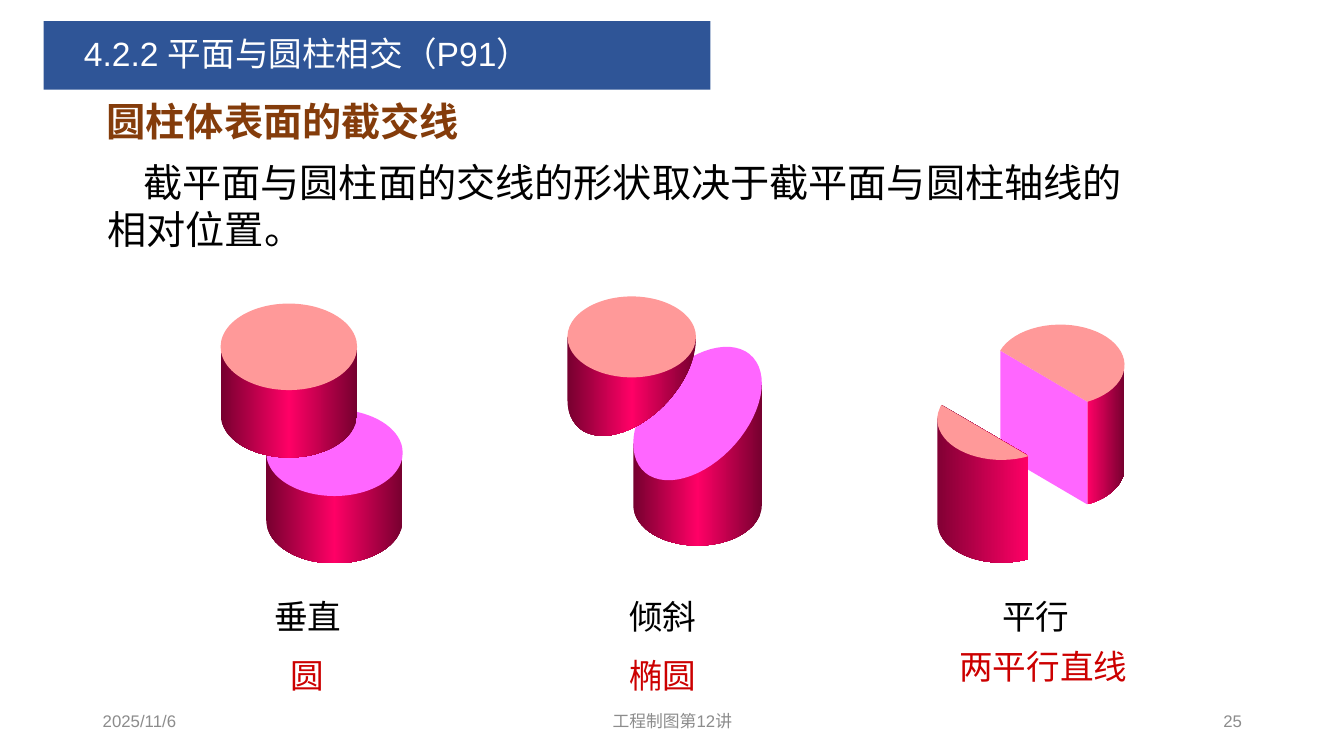
from copy import deepcopy
from math import cos, radians, sin

from pptx import Presentation
from pptx.dml.color import RGBColor
from pptx.enum.shapes import MSO_SHAPE
from pptx.enum.text import MSO_ANCHOR, MSO_AUTO_SIZE, PP_ALIGN
from pptx.oxml.ns import qn
from pptx.util import Cm, Pt

COLORS = {
    "banner": "2F5597", "white": "FFFFFF", "black": "000000", "heading": "843C0B",
    "result": "CC0000", "footer": "8C8C8C", "top": "FF9999", "cut": "FF66FF",
    "bright": "FF0066", "dark": "76002F", "shade": "820034",
}
ROUND_SIDE = ("dark", "bright", "dark")
LATIN, CHINESE = "Arial", "Noto Sans CJK SC"
CUT_START, CUT_END = 65, 201  # where the parallel plane meets the rim, in degrees


def color(name):
    return RGBColor.from_string(COLORS[name])


def write(shape, text, size, color_name, font_name=LATIN, bold=False,
          align=PP_ALIGN.LEFT, anchor=MSO_ANCHOR.MIDDLE, wrap=True):
    frame = shape.text_frame
    frame.word_wrap = wrap
    frame.auto_size = MSO_AUTO_SIZE.NONE
    frame.vertical_anchor = anchor
    paragraph = frame.paragraphs[0]
    paragraph.alignment = align
    run = paragraph.add_run()
    run.text = text
    font = run.font
    font.name, font.size, font.bold = font_name, Pt(size), bold
    font.color.rgb = color(color_name)
    east_asian = deepcopy(font._element.find(qn("a:latin")))
    east_asian.tag = qn("a:ea")
    east_asian.set("typeface", CHINESE)
    font._element.find(qn("a:latin")).addnext(east_asian)
    return paragraph


def add_text(slide, box, *args, **options):
    shape = slide.shapes.add_textbox(*(Cm(length) for length in box))
    return write(shape, *args, **options)


def set_indent(paragraph, left, first):
    properties = paragraph._p.get_or_add_pPr()
    properties.set("marL", str(Cm(left)))
    properties.set("indent", str(Cm(first)))


def fill_shape(shape, color_names):
    """Fill with one colour, or with an even left-to-right gradient of several."""
    shape.shadow.inherit = False
    shape.line.fill.background()
    if len(color_names) == 1:
        shape.fill.solid()
        shape.fill.fore_color.rgb = color(color_names[0])
        return
    shape.fill.gradient()
    shape.fill.gradient_angle = 0
    stop_list = shape._element.spPr.find(qn("a:gradFill")).find(qn("a:gsLst"))
    for _ in color_names[2:]:
        stop_list.append(deepcopy(stop_list[0]))
    for index, (stop, name) in enumerate(zip(shape.fill.gradient_stops, color_names)):
        stop.position = index / (len(color_names) - 1)
        stop.color.rgb = color(name)


def arc(center_x, center_y, radius_x, radius_y, start, end, rise=0):
    """Points of an ellipse arc, clockwise on screen; rise lifts its right end."""
    steps = max(2, round(abs(end - start) / 6))
    angles = [radians(start + (end - start) * i / steps) for i in range(steps + 1)]
    return [(center_x + radius_x * cos(angle),
             center_y + radius_y * sin(angle) - rise * cos(angle)) for angle in angles]


def add_outline(slide, points, *color_names):
    points = [(Cm(x), Cm(y)) for x, y in points]
    builder = slide.shapes.build_freeform(*points[0])
    builder.add_line_segments(points[1:], close=True)
    fill_shape(builder.convert_to_shape(), color_names)


def add_ellipse(slide, center_x, center_y, radius_x, radius_y, color_name):
    shape = slide.shapes.add_shape(
        MSO_SHAPE.OVAL, Cm(center_x - radius_x), Cm(center_y - radius_y),
        Cm(2 * radius_x), Cm(2 * radius_y))
    fill_shape(shape, [color_name])


def add_perpendicular_cut(slide, left, top):
    radius_x, radius_y, height = 1.72, 1.09, 1.7
    for shift_x, shift_y, face in ((1.15, 2.67, "cut"), (0, 0, "top")):
        x, y = left + radius_x + shift_x, top + radius_y + shift_y
        side = [(x - radius_x, y), *arc(x, y + height, radius_x, radius_y, 180, 0),
                (x + radius_x, y)]
        add_outline(slide, side, *ROUND_SIDE)
        add_ellipse(slide, x, y, radius_x, radius_y, face)


def add_oblique_cut(slide, left, top):
    radius_x, radius_y, cut_radius, rise = 1.62, 1.02, 1.5, 0.76
    x, y = left + 3.28, top + 2.95
    side = [(x - radius_x, y + rise),
            *arc(x, top + 5.26, radius_x, radius_y, 180, 0), (x + radius_x, y - rise)]
    add_outline(slide, side, *ROUND_SIDE)
    add_outline(slide, arc(x, y, radius_x, cut_radius, 0, 360, rise), "cut")

    x, y = left + radius_x, top + radius_y
    side = [(x - radius_x, y),
            *arc(x, top + 1.83, radius_x, cut_radius, 180, 0, rise), (x + radius_x, y)]
    add_outline(slide, side, *ROUND_SIDE)
    add_ellipse(slide, x, y, radius_x, radius_y, "top")


def add_parallel_cut(slide, left, top):
    radius_x, radius_y, height = 1.62, 1.02, 2.59
    x, y = left + 3.1, top + radius_y
    rim = arc(x, y, radius_x, radius_y, CUT_END, CUT_START + 360)
    add_outline(slide, [(x + radius_x, y),
                        *arc(x, y + height, radius_x, radius_y, 0, CUT_START), rim[-1]],
                "bright", "dark")
    cut_ends = [rim[0], rim[-1]]
    lower_ends = [(end_x, end_y + height) for end_x, end_y in reversed(cut_ends)]
    add_outline(slide, cut_ends + lower_ends, "cut")
    add_outline(slide, rim, "top")

    x, y = left + radius_x, top + 2.39
    rim = arc(x, y, radius_x, radius_y, CUT_START, CUT_END)
    add_outline(slide, [rim[-1], (x - radius_x, y),
                        *arc(x, y + height, radius_x, radius_y, 180, CUT_START), rim[0]],
                "shade", "bright")
    add_outline(slide, rim, "top")


def add_caption(slide, center, top, text, color_name):
    width = 0.5 + 0.85 * len(text)
    add_text(slide, (center - width / 2, top, width, 1.27), text, 24, color_name,
             CHINESE, align=PP_ALIGN.CENTER, anchor=MSO_ANCHOR.TOP, wrap=False)


def add_title(slide, left, top, width, height):
    title = slide.shapes.title
    title.left, title.top, title.width, title.height = map(Cm, (left, top, width, height))
    title.fill.solid()
    title.fill.fore_color.rgb = color("banner")
    paragraph = write(title, "4.2.2 平面与圆柱相交（P91）", 24, "white")
    paragraph.line_spacing = 0.9
    set_indent(paragraph, 0.76, 0)


def add_introduction(slide, left, top):
    heading = add_text(slide, (left, top, 15.29, 1.73), "圆柱体表面的截交线", 28,
                       "heading", bold=True)
    heading.line_spacing = 0.9
    body = add_text(slide, (left + 0.02, top + 1.6, 26.7, 2.64),
                    "截平面与圆柱面的交线的形状取决于截平面与圆柱轴线的相对位置。",
                    28, "black", anchor=MSO_ANCHOR.TOP)
    set_indent(body, 0, 0.9)


def add_footer(slide, top, height):
    for left, width, text, align in (
            (2.34, 7.62, "2025/11/6", PP_ALIGN.LEFT),
            (11.23, 11.43, "工程制图第12讲", PP_ALIGN.CENTER),
            (23.93, 7.62, "25", PP_ALIGN.RIGHT)):
        add_text(slide, (left, top, width, height), text, 12, "footer", align=align)


def main():
    presentation = Presentation()
    presentation.slide_width, presentation.slide_height = Cm(33.87), Cm(19.05)
    slide = presentation.slides.add_slide(presentation.slide_layouts[5])
    add_title(slide, 1.1, 0.53, 16.8, 1.73)
    add_introduction(slide, 2.44, 2.26)
    add_perpendicular_cut(slide, 5.56, 7.65)
    add_oblique_cut(slide, 14.3, 7.47)
    add_parallel_cut(slide, 23.62, 8.18)
    for center, position, result_center, result_top, result in (
            (7.76, "垂直", 7.75, 16.38, "圆"),
            (16.7, "倾斜", 16.7, 16.38, "椭圆"),
            (26.1, "平行", 26.29, 16.15, "两平行直线")):
        add_caption(slide, center, 14.88, position, "black")
        add_caption(slide, result_center, result_top, result, "result")
    add_footer(slide, 17.65, 1.02)
    presentation.save("out.pptx")


if __name__ == "__main__":
    main()
